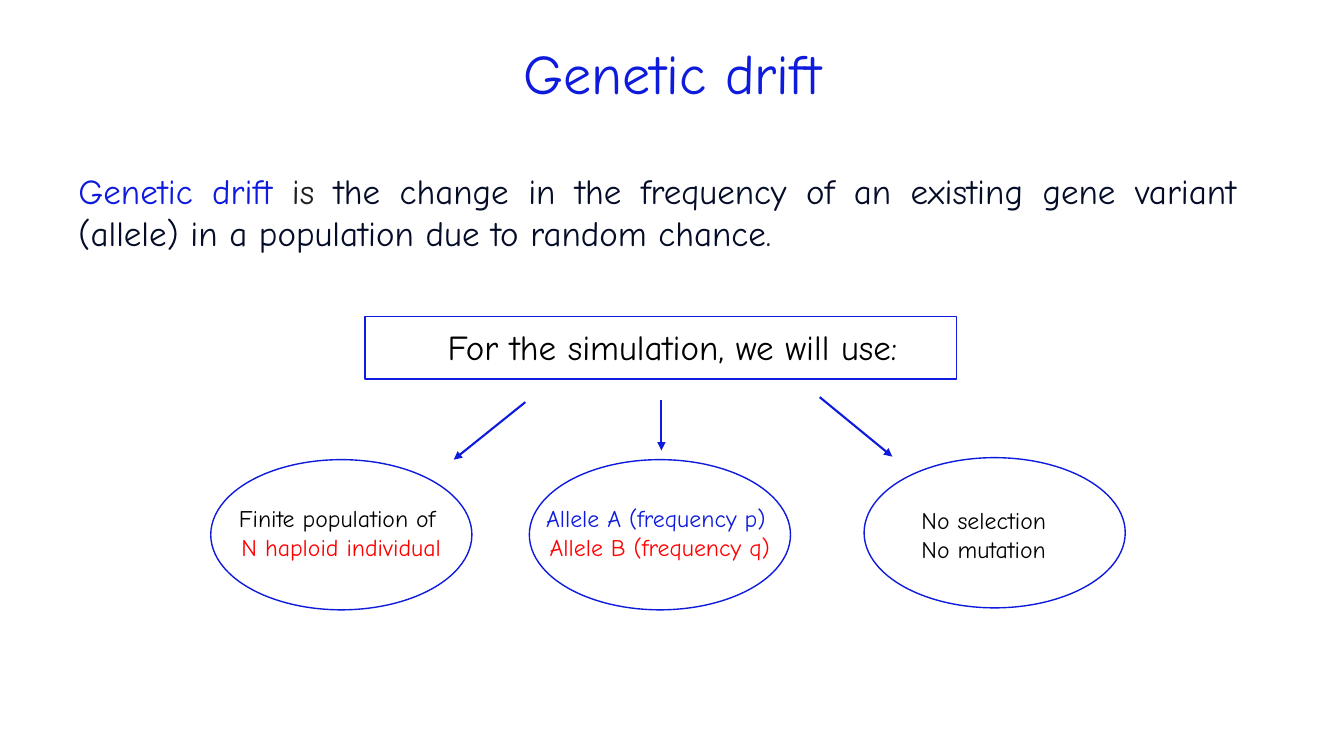
from dataclasses import dataclass

from lxml import etree
from pptx import Presentation
from pptx.dml.color import RGBColor
from pptx.enum.shapes import MSO_CONNECTOR, MSO_SHAPE
from pptx.enum.text import MSO_ANCHOR, MSO_AUTO_SIZE, PP_ALIGN
from pptx.oxml.ns import qn
from pptx.util import Inches, Pt

RECTANGLE, ELLIPSE = MSO_SHAPE.RECTANGLE, MSO_SHAPE.OVAL
STRAIGHT = MSO_CONNECTOR.STRAIGHT
LEFT, CENTER, JUSTIFY = PP_ALIGN.LEFT, PP_ALIGN.CENTER, PP_ALIGN.JUSTIFY
TOP, MIDDLE = MSO_ANCHOR.TOP, MSO_ANCHOR.MIDDLE
GROW = MSO_AUTO_SIZE.SHAPE_TO_FIT_TEXT
LINE_BREAK = "\n"


@dataclass(frozen=True)
class Theme:
    font: str = "Comic Neue"
    blue: str = "0E1BDD"
    red: str = "FF0000"
    black: str = "000000"
    white: str = "FFFFFF"
    navy: str = "040C28"
    charcoal: str = "202124"
    title_size: float = 40
    body_size: float = 25
    label_size: float = 17
    outline_width: float = 1
    arrow_width: float = 1.5


class SlideBuilder:
    def __init__(self, slide, theme):
        self.slide = slide
        self.theme = theme

    def set_line(self, line, width):
        line.color.rgb = RGBColor.from_string(self.theme.blue)
        line.width = Pt(width)

    def add_outline(self, kind, left, top, width, height):
        shape = self.slide.shapes.add_shape(
            kind, Inches(left), Inches(top), Inches(width), Inches(height))
        shape.shadow.inherit = False
        shape.fill.solid()
        shape.fill.fore_color.rgb = RGBColor.from_string(self.theme.white)
        self.set_line(shape.line, self.theme.outline_width)

    def add_text(self, box, paragraphs, size, anchor=TOP, **paragraph_format):
        shape = self.slide.shapes.add_textbox(*map(Inches, box))
        frame = shape.text_frame
        frame_format = {"word_wrap": True, "auto_size": GROW, "vertical_anchor": anchor}
        if anchor == MIDDLE:
            frame_format["auto_size"] = MSO_AUTO_SIZE.NONE
        for name, value in frame_format.items():
            setattr(frame, name, value)
        for index, pieces in enumerate(paragraphs):
            paragraph = frame.add_paragraph() if index else frame.paragraphs[0]
            for name, value in paragraph_format.items():
                setattr(paragraph, name, value)
            for text, color in pieces:
                self.add_run(paragraph, text, color, size)

    def add_run(self, paragraph, text, color, size):
        run = paragraph.add_run()
        run.text = text.rstrip(LINE_BREAK)
        for name, value in {"name": self.theme.font, "size": Pt(size)}.items():
            setattr(run.font, name, value)
        run.font.color.rgb = RGBColor.from_string(color)
        if text.endswith(LINE_BREAK):
            paragraph.add_line_break()

    def add_arrow(self, start, end):
        connector = self.slide.shapes.add_connector(
            STRAIGHT, *map(Inches, (*start, *end)))
        self.set_line(connector.line, self.theme.arrow_width)
        properties = connector._element.spPr
        head = etree.SubElement(properties.find(qn("a:ln")), qn("a:tailEnd"))
        head.set("type", "triangle")
        etree.SubElement(properties, qn("a:effectLst"))


def main():
    theme = Theme()
    presentation = Presentation()
    presentation.slide_width = Inches(13.33)
    presentation.slide_height = Inches(7.5)
    slide = presentation.slides.add_slide(presentation.slide_layouts[6])
    builder = SlideBuilder(slide, theme)

    builder.add_text((1.16, 0.23, 11.02, 1.05), [[("Genetic drift", theme.blue)]],
                     theme.title_size, MIDDLE, alignment=CENTER, line_spacing=0.9)

    definition = [
        ("Genetic drift ", theme.blue),
        ("is ", theme.charcoal),
        ("the change in the frequency of an existing gene variant (allele) "
         "in a population due to random chance", theme.navy),
        (". ", theme.charcoal),
    ]
    builder.add_text((0.68, 1.63, 11.68, 0.94), [definition],
                     theme.body_size, alignment=JUSTIFY)

    builder.add_outline(RECTANGLE, 3.62, 3.14, 5.87, 0.62)
    builder.add_text((0.92, 3.18, 11.5, 0.52),
                     [[("For the simulation, we will use:", theme.black)]],
                     theme.body_size, alignment=CENTER)

    population = [[("Finite population of \n", theme.black),
                   ("N haploid individual", theme.red)]]
    alleles = [[("Allele A (frequency p) ", theme.blue)],
               [("Allele B (frequency q)", theme.red)]]
    exclusions = [[("No selection", theme.black)], [("No mutation", theme.black)]]
    assumptions = [
        ((2.09, 4.56), (1.97, 4.95, 2.83, 0.67), population, CENTER),
        ((5.25, 4.56), (5.22, 4.95, 2.65, 0.67), alleles, CENTER),
        ((8.57, 4.54), (9.04, 4.97, 1.64, 0.67), exclusions, LEFT),
    ]
    for corner, label_box, paragraphs, alignment in assumptions:
        builder.add_outline(ELLIPSE, *corner, 2.59, 1.49)
        builder.add_text(label_box, paragraphs, theme.label_size, alignment=alignment)

    arrows = [((5.21, 3.99), (4.5, 4.56)),
              ((6.56, 3.97), (6.56, 4.47)),
              ((8.13, 3.94), (8.85, 4.53))]
    for start, end in arrows:
        builder.add_arrow(start, end)

    presentation.save("out.pptx")


if __name__ == "__main__":
    main()
